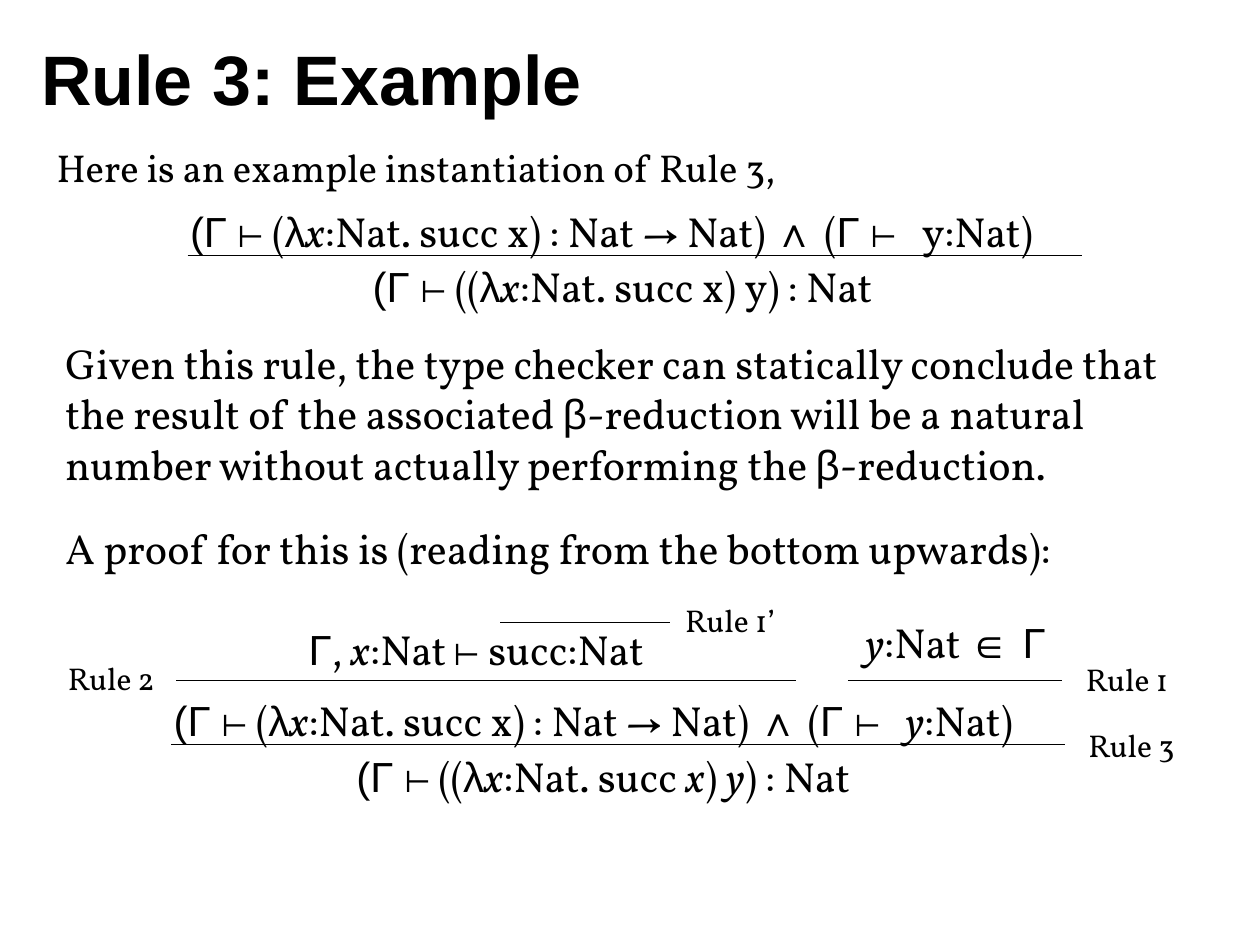
import pptx
import pptx.util
import pptx.dml.color
import pptx.enum.shapes
import pptx.enum.text
import pptx.oxml.ns
import lxml.etree

Inches = pptx.util.Inches
Pt = pptx.util.Pt

theme = {
    "ink": pptx.dml.color.RGBColor(0, 0, 0),
    "fonts": {"a": "Arial", "c": "Courier New", "v": "Vollkorn", "i": "Vollkorn"},
    "title": 40,
    "intro": 22.2,
    "body": 24,
    "label": 18,
    "line": 0.75,
}

deck = pptx.Presentation()
deck.slide_width = Inches(10)
deck.slide_height = Inches(7.5)
slide = deck.slides.add_slide(deck.slide_layouts[6])


def fill(para, text, size):
    for part in text.split("|"):
        run = para.add_run()
        run.text = part[1:]
        run.font.name = theme["fonts"][part[0]]
        run.font.size = Pt(size)
        run.font.italic = part[0] == "i"
        run.font.color.rgb = theme["ink"]


def write(left, top, width, height, text, size, wrap=True):
    box = slide.shapes.add_textbox(
        Inches(left), Inches(top), Inches(width), Inches(height)
    )
    frame = box.text_frame
    frame.word_wrap = wrap
    fill(frame.paragraphs[0], text, size)
    return frame


title = write(0.23, 0.15, 8.03, 0.93, "aRule 3: Example", theme["title"])
title.vertical_anchor = pptx.enum.text.MSO_ANCHOR.MIDDLE
title.paragraphs[0].runs[0].font.bold = True

intro = write(
    0.35, 1.13, 7.95, 0.47,
    "vHere is an example instantiation of Rule 3,", theme["intro"],
)
intro.paragraphs[0].line_spacing = 0.9

body = write(
    0.42, 2.63, 9.21, 1.99,
    "vGiven this rule, the type checker can statically conclude that "
    "the result of the associated |aβ|v-reduction will be a natural "
    "number without actually performing the |aβ|v-reduction.",
    theme["body"],
)
proof = body.add_paragraph()
proof.space_before = Pt(19)
fill(proof, "vA proof for this is (reading from the bottom upwards):", theme["body"])

given = "a(Γ |c⊢|v (|aλ|ix|v:Nat. succ x) : Nat → Nat) |a∧|v (|aΓ |c⊢ |"
goal = "a(Γ |c⊢|v ((|aλ|ix|v:Nat. succ "
terms = [
    (1.41, 1.58, 7.32, 0.9, given + "vy:Nat)", True),
    (2.86, 2.02, 4.72, 0.5, goal + "x) y) : Nat", False),
    (1.28, 5.46, 7.32, 0.9, given + "iy|v:Nat)", True),
    (2.73, 5.91, 4.7, 0.5, goal + "|ix|v) |iy|v) : Nat", False),
    (2.35, 4.9, 3.22, 0.5, "aΓ|v, |ix|v:Nat |c⊢|v succ:Nat", False),
    (6.77, 4.84, 1.65, 0.5, "iy|v:Nat |a∈ Γ", False),
]
for left, top, width, height, text, wrap in terms:
    write(left, top, width, height, text, theme["body"], wrap)

labels = [
    (8.54, 5.71, 0.94, "3"),
    (8.52, 5.19, 0.94, "1"),
    (0.44, 5.18, 0.94, "2"),
    (5.34, 4.72, 1, "1’"),
]
for left, top, width, mark in labels:
    write(left, top, width, 0.4, "vRule " + mark, theme["label"], False)

bars = [
    (1.49, 8.59, 2.03),
    (1.36, 8.45, 5.91),
    (1.4, 6.32, 5.4),
    (6.73, 8.43, 5.4),
    (3.97, 5.32, 4.94),
]
for start, end, top in bars:
    bar = slide.shapes.add_connector(
        pptx.enum.shapes.MSO_CONNECTOR.STRAIGHT,
        Inches(start), Inches(top), Inches(end), Inches(top),
    )
    bar.line.color.rgb = theme["ink"]
    bar.line.width = Pt(theme["line"])
    lxml.etree.SubElement(bar._element.spPr, pptx.oxml.ns.qn("a:effectLst"))

deck.save("out.pptx")
